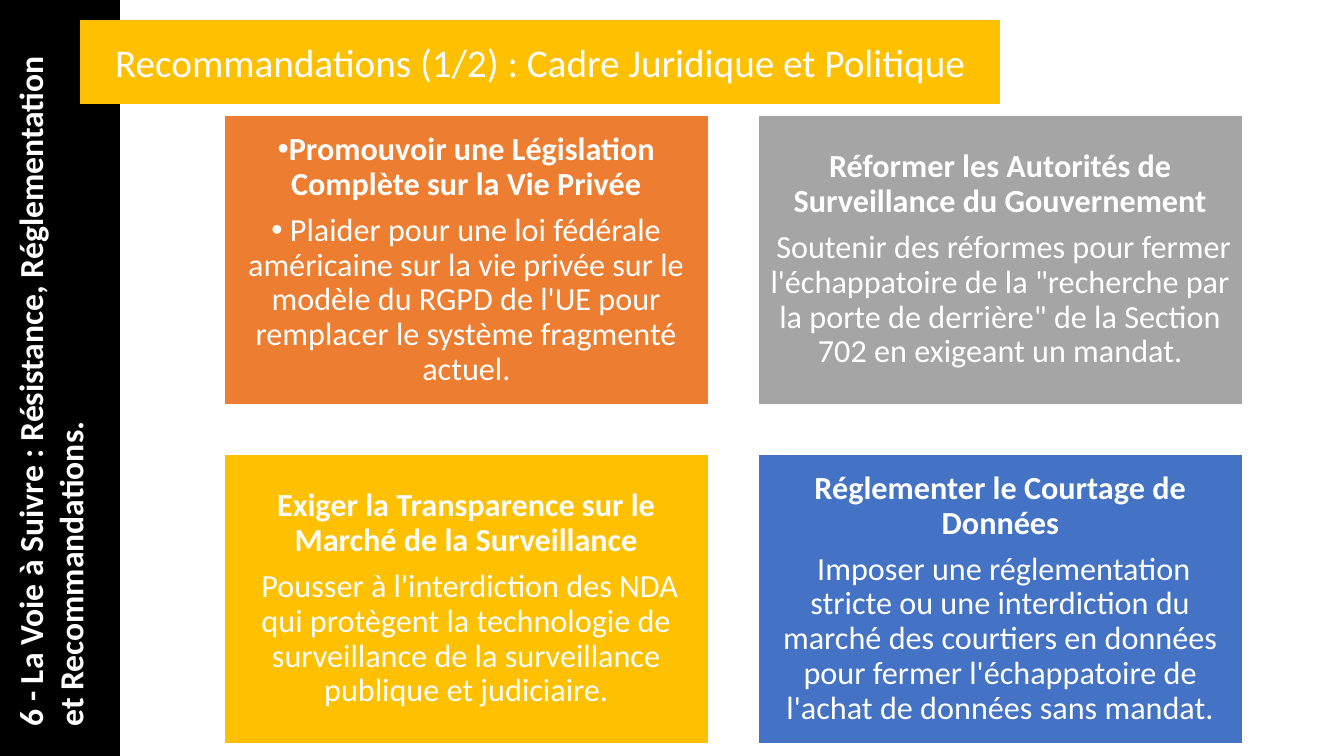
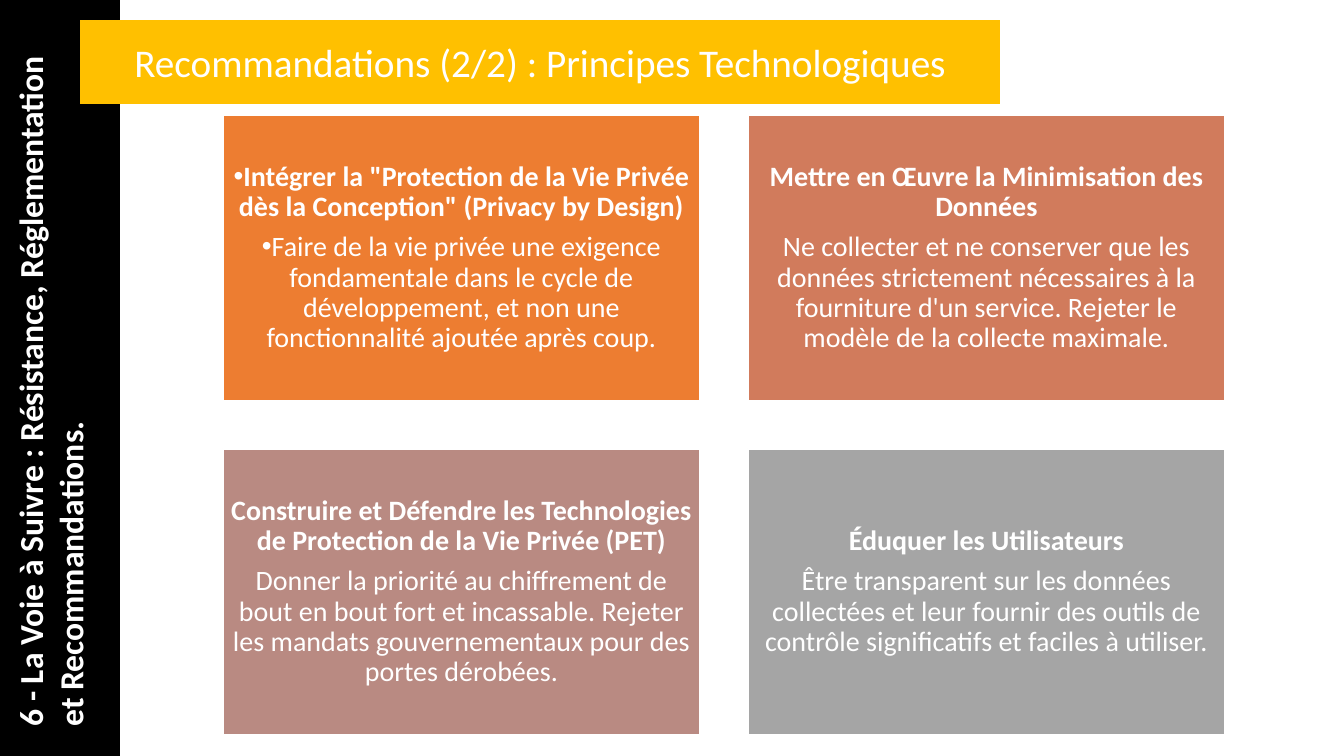
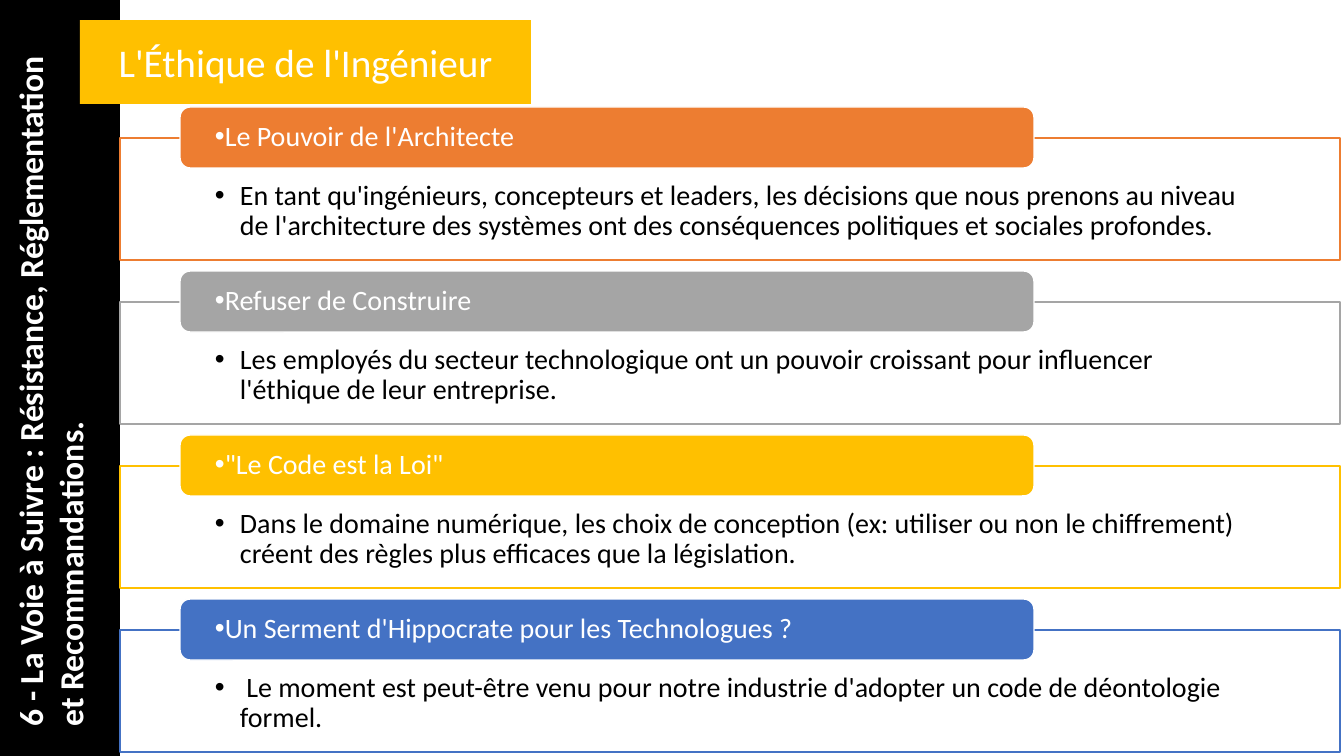
import pptx
import pptx.util
import pptx.dml.color
import pptx.enum.shapes
import pptx.enum.text
import pptx.oxml
import pptx.oxml.ns
from lxml import etree

RGBColor = pptx.dml.color.RGBColor
Pt = pptx.util.Pt
SHAPES = pptx.enum.shapes.MSO_SHAPE
ALIGN = pptx.enum.text.PP_ALIGN
ANCHOR = pptx.enum.text.MSO_ANCHOR

# Shared look
FONT = "Calibri"
WHITE = RGBColor(0xFF, 0xFF, 0xFF)
BLACK = RGBColor(0x00, 0x00, 0x00)
ORANGE = RGBColor(0xED, 0x7D, 0x31)
GREY = RGBColor(0xA5, 0xA5, 0xA5)
GOLD = RGBColor(0xFF, 0xC0, 0x00)
BLUE = RGBColor(0x44, 0x72, 0xC4)
TERRACOTTA = RGBColor(0xD1, 0x7B, 0x5C)
ROSE = RGBColor(0xB9, 0x8A, 0x82)

EMU_PER_PX = 914400 / 100.8
PAGE_WIDTH, PAGE_HEIGHT = 1344, 756
SIDEBAR_WIDTH = 120
SECTION = "6 - La Voie à Suivre : Résistance, Réglementation et Recommandations."

# Content: card slides (colour, heading, text); the first card is bulleted
CARD_SLIDES = [
    {
        "title": "Recommandations (1/2) : Cadre Juridique et Politique",
        "left": 224, "top": 115, "width": 485, "height": 290, "gap": 49,
        "inset": 10, "size": 23,
        "cards": [
            (ORANGE, "Promouvoir une Législation Complète sur la Vie Privée",
             " Plaider pour une loi fédérale américaine sur la vie privée sur le modèle du RGPD "
             "de l'UE pour remplacer le système fragmenté actuel."),
            (GREY, "Réformer les Autorités de Surveillance du Gouvernement",
             " Soutenir des réformes pour fermer l'échappatoire de la \"recherche par la porte de "
             "derrière\" de la Section 702 en exigeant un mandat."),
            (GOLD, "Exiger la Transparence sur le Marché de la Surveillance",
             " Pousser à l'interdiction des NDA qui protègent la technologie de surveillance de la "
             "surveillance publique et judiciaire."),
            (BLUE, "Réglementer le Courtage de Données",
             " Imposer une réglementation stricte ou une interdiction du marché des courtiers en "
             "données pour fermer l'échappatoire de l'achat de données sans mandat."),
        ],
    },
    {
        "title": "Recommandations (2/2) : Principes Technologiques",
        "left": 223, "top": 115, "width": 477, "height": 286, "gap": 48,
        "inset": 8, "size": 20,
        "cards": [
            (ORANGE, "Intégrer la \"Protection de la Vie Privée dès la Conception\" (Privacy by Design)",
             "Faire de la vie privée une exigence fondamentale dans le cycle de développement, et "
             "non une fonctionnalité ajoutée après coup."),
            (TERRACOTTA, "Mettre en Œuvre la Minimisation des Données",
             "Ne collecter et ne conserver que les données strictement nécessaires à la fourniture "
             "d'un service. Rejeter le modèle de la collecte maximale."),
            (ROSE, "Construire et Défendre les Technologies de Protection de la Vie Privée (PET)",
             "Donner la priorité au chiffrement de bout en bout fort et incassable. Rejeter les "
             "mandats gouvernementaux pour des portes dérobées."),
            (GREY, "Éduquer les Utilisateurs",
             "Être transparent sur les données collectées et leur fournir des outils de contrôle "
             "significatifs et faciles à utiliser."),
        ],
    },
]

# Content: ethics slide (colour, heading, text)
ETHICS_TITLE = "L'Éthique de l'Ingénieur"
ETHICS = [
    (ORANGE, "Le Pouvoir de l'Architecte",
     "En tant qu'ingénieurs, concepteurs et leaders, les décisions que nous prenons au niveau de "
     "l'architecture des systèmes ont des conséquences politiques et sociales profondes."),
    (GREY, "Refuser de Construire",
     "Les employés du secteur technologique ont un pouvoir croissant pour influencer l'éthique de "
     "leur entreprise."),
    (GOLD, "\"Le Code est la Loi\"",
     "Dans le domaine numérique, les choix de conception (ex: utiliser ou non le chiffrement) "
     "créent des règles plus efficaces que la législation."),
    (BLUE, "Un Serment d'Hippocrate pour les Technologues ?",
     " Le moment est peut-être venu pour notre industrie d'adopter un code de déontologie formel."),
]


def px(length):
    return pptx.util.Emu(round(length * EMU_PER_PX))


def set_all(target, values):
    for name, value in values.items():
        setattr(target, name, value)


def add_block(page, kind, place, fill, line=None):
    block = page.shapes.add_shape(kind, *map(px, place))
    block.shadow.inherit = False
    block.fill.solid()
    block.fill.fore_color.rgb = fill
    if line is None:
        block.line.fill.background()
    else:
        block.line.color.rgb = line
        block.line.width = Pt(1)
    return block


def set_frame(box, insets, anchor):
    left, top, right, bottom = map(px, insets)
    set_all(box.text_frame, {
        "word_wrap": True, "vertical_anchor": anchor,
        "margin_left": left, "margin_top": top,
        "margin_right": right, "margin_bottom": bottom,
    })


def add_bullet(para, indent):
    properties = para._p.get_or_add_pPr()
    properties.set("marL", str(px(indent)))
    properties.set("indent", str(-px(indent)))
    for tag, name, value in (("a:buFont", "typeface", "Arial"), ("a:buChar", "char", "•")):
        etree.SubElement(properties, pptx.oxml.ns.qn(tag)).set(name, value)


def write(para, text, size, color=WHITE, bold=False, bullet=None, **layout):
    if bullet is not None:
        add_bullet(para, bullet)
    set_all(para, layout)
    span = para.add_run()
    span.text = text
    set_all(span.font, {"name": FONT, "size": Pt(size), "bold": bold})
    span.font.color.rgb = color


def add_page(deck, title, title_width):
    page = deck.slides.add_slide(deck.slide_layouts[6])
    add_block(page, SHAPES.RECTANGLE, (0, 0, SIDEBAR_WIDTH, PAGE_HEIGHT), BLACK)
    band = add_block(page, SHAPES.RECTANGLE, (80, 20, title_width, 84), GOLD)
    set_frame(band, (10, 5, 10, 5), ANCHOR.MIDDLE)
    write(band.text_frame.paragraphs[0], title, 28, alignment=ALIGN.CENTER)
    section = page.shapes.add_textbox(*map(px, (-297, 343, 695, 92)))
    section.rotation = 270
    set_frame(section, (10, 5, 10, 5), ANCHOR.TOP)
    write(section.text_frame.paragraphs[0], SECTION, 24, bold=True)
    return page


def add_cards(page, grid):
    width, height, gap, size = (grid[key] for key in ("width", "height", "gap", "size"))
    for index, (color, heading, text) in enumerate(grid["cards"]):
        row, column = divmod(index, 2)
        place = (grid["left"] + column * (width + gap), grid["top"] + row * (height + gap),
                 width, height)
        card = add_block(page, SHAPES.RECTANGLE, place, color, WHITE)
        set_frame(card, [grid["inset"]] * 4, ANCHOR.MIDDLE)
        layout = {"alignment": ALIGN.CENTER, "line_spacing": 0.9,
                  "space_after": Pt(round(0.35 * size)), "bullet": 0 if index == 0 else None}
        write(card.text_frame.paragraphs[0], heading, size, bold=True, **layout)
        write(card.text_frame.add_paragraph(), text, size, **layout)


def add_ethics(page):
    left, first_top, pitch = SIDEBAR_WIDTH, 138, 164
    layout = {"alignment": ALIGN.LEFT, "line_spacing": 0.9}
    for index, (color, heading, text) in enumerate(ETHICS):
        top = first_top + index * pitch
        body = add_block(page, SHAPES.RECTANGLE, (left, top, 1220, 122), WHITE, color)
        fill_color = body.fill._xPr.find(".//" + pptx.oxml.ns.qn("a:srgbClr"))
        etree.SubElement(fill_color, pptx.oxml.ns.qn("a:alpha")).set("val", "90000")
        set_frame(body, (95, 43, 95, 16), ANCHOR.TOP)
        write(body.text_frame.paragraphs[0], text, 20, BLACK, bullet=25, **layout)
        # Heading bar straddles the top edge of its body
        bar = add_block(page, SHAPES.ROUNDED_RECTANGLE, (left + 60, top - 31, 854, 61), color, WHITE)
        set_frame(bar, (32, 0, 32, 0), ANCHOR.MIDDLE)
        write(bar.text_frame.paragraphs[0], heading, 20, bullet=0, **layout)


def main():
    deck = pptx.Presentation()
    set_all(deck, {"slide_width": px(PAGE_WIDTH), "slide_height": px(PAGE_HEIGHT)})
    for grid in CARD_SLIDES:
        add_cards(add_page(deck, grid["title"], 920), grid)
    add_ethics(add_page(deck, ETHICS_TITLE, 451))
    deck.save("out.pptx")


if __name__ == "__main__":
    main()
